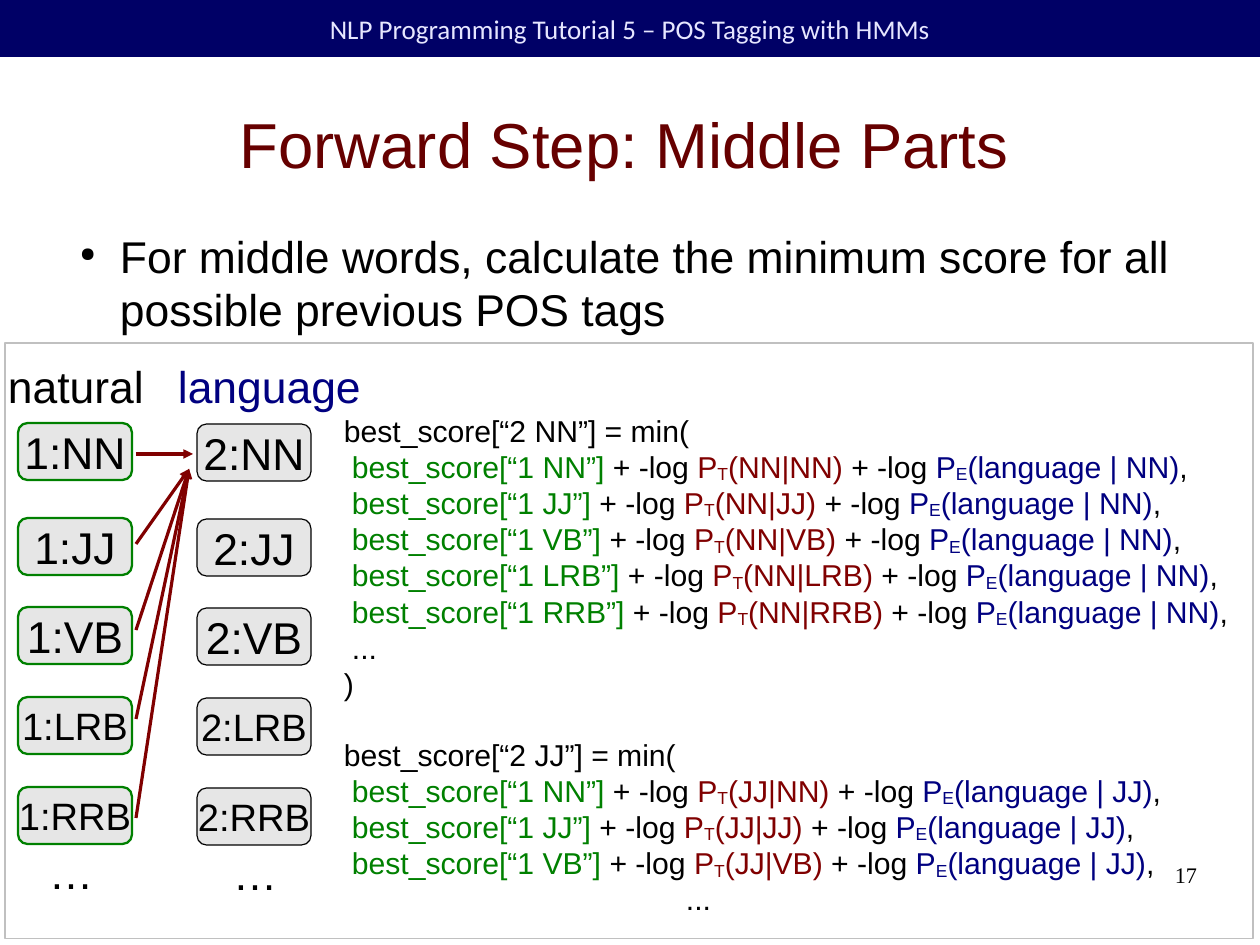
"""Build the slide on the middle parts of the forward step."""
from lxml import etree
from pptx import Presentation
from pptx.dml.color import RGBColor
from pptx.enum.shapes import MSO_CONNECTOR as Link, MSO_SHAPE as Kind
from pptx.enum.text import MSO_ANCHOR as Anchor, PP_ALIGN as Align
from pptx.oxml.ns import qn
from pptx.util import Pt

PX = 8000
BLACK, GREEN, RED, BLUE = "000000", "008000", "800000", "000080"
hue = RGBColor.from_string

deck = Presentation()
deck.slide_width, deck.slide_height = 1260 * PX, 945 * PX
slide = deck.slides.add_slide(deck.slide_layouts[6])
shapes = slide.shapes


def box(x, y, w, h, kind=None, pad=(11, 6), fill=None, line=None, width=0):
    """Add a text box, or a preset shape when a kind is given."""
    place = [n * PX for n in (x, y, w, h)]
    if kind is None:
        shape = shapes.add_textbox(*place)
    else:
        shape = shapes.add_shape(kind, *place)
        shape.shadow.inherit = False
        if fill:
            shape.fill.solid()
            shape.fill.fore_color.rgb = hue(fill)
        else:
            shape.fill.background()
        if line:
            shape.line.color.rgb = hue(line)
            shape.line.width = Pt(width)
        else:
            shape.line.fill.background()
    frame = shape.text_frame
    frame.word_wrap = True
    frame.margin_left = frame.margin_right = pad[0] * PX
    frame.margin_top = frame.margin_bottom = pad[1] * PX
    frame.vertical_anchor = Anchor.MIDDLE if kind else Anchor.TOP
    return frame


def write(para, text, size, color=BLACK, face="Arial", align=None):
    """Add one run to a paragraph."""
    run = para.add_run()
    run.text = text
    run.font.size = Pt(size)
    run.font.name = face
    run.font.color.rgb = hue(color)
    if align is not None:
        para.alignment = align
    return run


head = box(0, 0, 1260, 57, Kind.RECTANGLE, fill="000066")
write(head.paragraphs[0], "NLP Programming Tutorial 5 – POS Tagging with HMMs",
      17, "E6E6FF", "Calibri", Align.CENTER)

title = box(57, 71, 1134, 145, pad=(0, 0))
title.vertical_anchor = Anchor.MIDDLE
write(title.paragraphs[0], "Forward Step: Middle Parts", 40, "660000",
      align=Align.CENTER)

para = box(66, 229, 1134, 110, pad=(0, 0)).paragraphs[0]
props = para._p.get_or_add_pPr()
props.set("marL", str(54 * PX))
props.set("indent", str(-40 * PX))
tint = etree.SubElement(props, qn("a:buClr"))
etree.SubElement(tint, qn("a:srgbClr"), val=BLACK)
etree.SubElement(props, qn("a:buSzPct"), val="45000")
etree.SubElement(props, qn("a:buChar"), char="●")
write(para, "For middle words, calculate the minimum score for all "
      "possible previous POS tags", 28)

box(5, 343, 1248, 596, Kind.RECTANGLE, line="C0C0C0")

tags = [("NN", 28, 423), ("JJ", 28, 518), ("VB", 28, 607),
        ("LRB", 24, 697), ("RRB", 24, 787)]
steps = [(1, 18, 0, GREEN, 1.45), (2, 197, 1, BLACK, 0)]
for step, left, drop, edge, width in steps:
    for tag, size, top in tags:
        node = box(left, top + drop, 114, 57, Kind.ROUNDED_RECTANGLE,
                   fill="E6E6E6", line=edge, width=width)
        node.word_wrap = False
        write(node.paragraphs[0], f"{step}:{tag}", size, align=Align.CENTER)

labels = [("natural", -3, 353, 165, BLACK), ("language", 167, 353, 216, BLUE),
          ("…", 38, 839, 68, BLACK), ("…", 222, 840, 68, BLACK)]
for text, left, top, width, color in labels:
    write(box(left, top, width, 61).paragraphs[0], text, 28, color)

arrows = [(454, 193, 454), (544, 189, 469), (630, 189, 469),
          (719, 189, 469), (818, 189, 469)]
for start, right, end in arrows:
    arrow = shapes.add_connector(Link.STRAIGHT, 136 * PX, start * PX,
                                 right * PX, end * PX)
    arrow.line.color.rgb = hue(RED)
    arrow.line.width = 0
    etree.SubElement(arrow.line._get_or_add_ln(), qn("a:tailEnd"),
                     type="triangle")
    etree.SubElement(arrow._element.spPr, qn("a:effectLst"))

blocks = [("NN", 406, 329, ["NN", "JJ", "VB", "LRB", "RRB"],
           [("...", 8), (")", 0)]),
          ("JJ", 730, 209, ["NN", "JJ", "VB"], [("...", 342)])]
for goal, top, height, prior, rest in blocks:
    code = box(333, top, 920, height)
    write(code.paragraphs[0], f"best_score[“2 {goal}”] = min(", 19)
    for tag in prior:
        para = code.add_paragraph()
        para._p.get_or_add_pPr().set("marL", str(8 * PX))
        parts = [(f"best_score[“1 {tag}”]", GREEN), (" + -log ", BLACK),
                 ("P", RED), ("T", RED), (f"({goal}|{tag})", RED),
                 (" + -log ", BLACK), ("P", BLUE), ("E", BLUE),
                 (f"(language | {goal})", BLUE), (",", BLACK)]
        for text, color in parts:
            run = write(para, text, 19, color)
            if text in ("T", "E"):
                run._r.get_or_add_rPr().set("baseline", "-8000")
    for text, left in rest:
        para = code.add_paragraph()
        para._p.get_or_add_pPr().set("marL", str(left * PX))
        write(para, text, 19)

page = box(903, 861, 294, 65, pad=(0, 0))
write(page.paragraphs[0], "17", 14, face="Times New Roman", align=Align.RIGHT)

deck.save("out.pptx")
